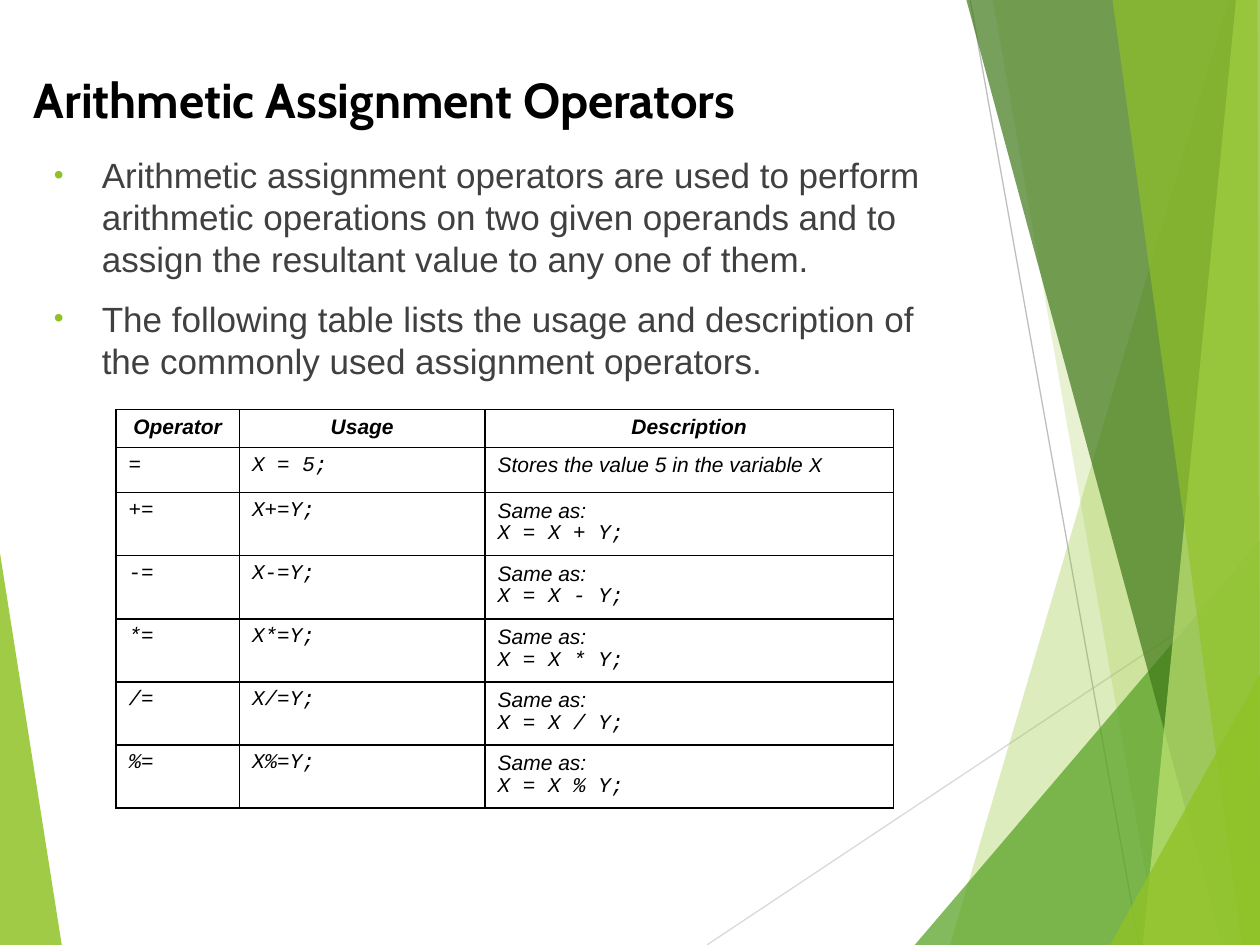
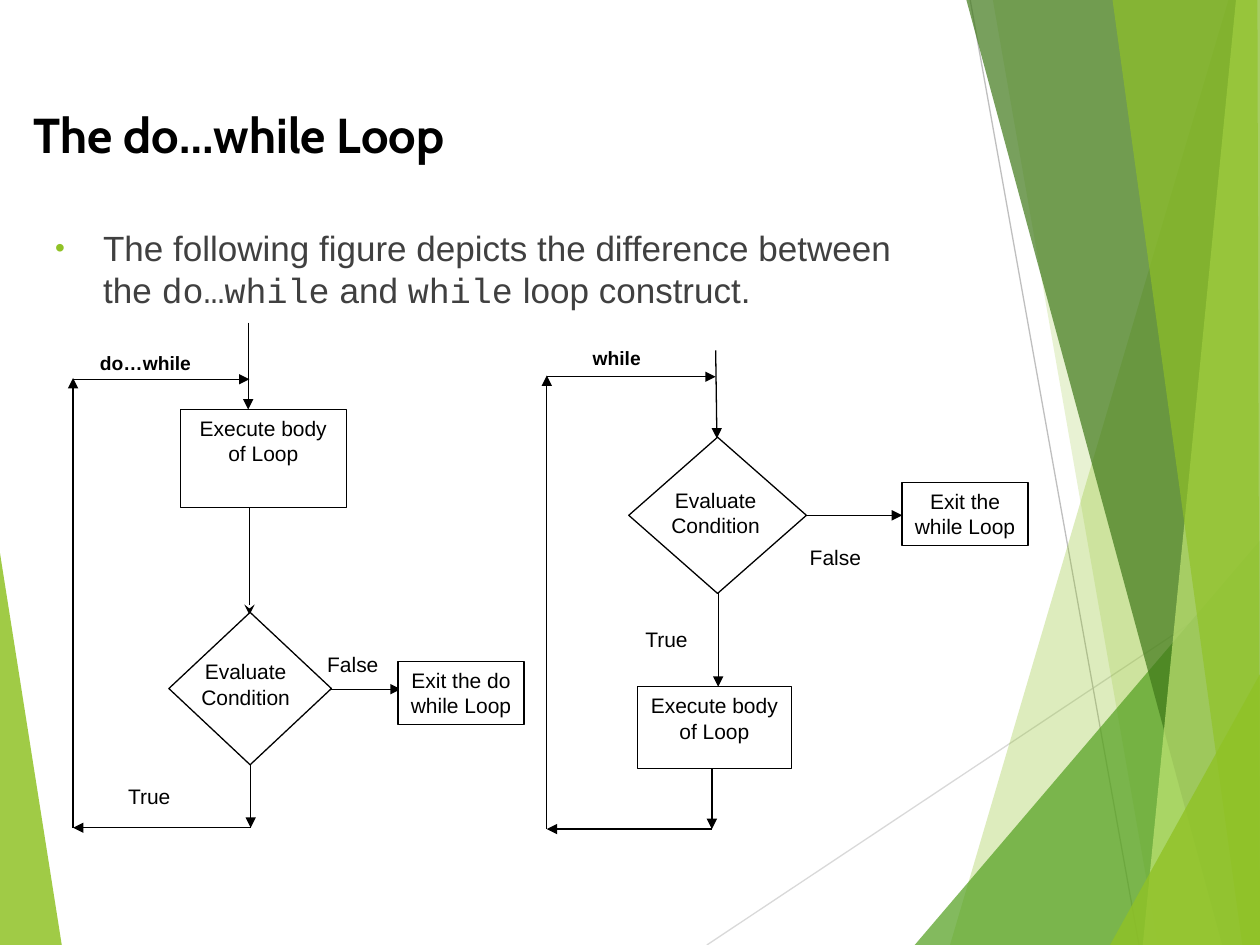
from lxml.etree import SubElement
from pptx import Presentation
from pptx.dml.color import RGBColor
from pptx.enum.shapes import MSO_CONNECTOR, MSO_SHAPE
from pptx.enum.text import MSO_ANCHOR, PP_ALIGN
from pptx.oxml.ns import qn
from pptx.util import Emu, Pt

PX = 9144  # EMU in one px, 100 px to the inch
WIDTH, HEIGHT = 1000, 750

COLORS = {
    "black": "000000", "white": "FFFFFF", "body": "404040",
    "lime": "90C226", "green": "54A021", "forest": "3F7819", "pale": "C0E474",
    "silver": "D9D9D9", "gray": "BFBFBF",
}
SANS, MONO, HEADING = "Arial", "Courier New", "Cabin"

# Theme facets from back to front: colour, opacity in percent, corners
LEFT_FACET = ("lime", 85, [(0, 439), (49, 750), (0, 750)])
RIGHT_FACETS = [
    ("lime", 30, [(975, 0), (754, 750), (1000, 750), (1000, 0)]),
    ("lime", 20, [(788, 0), (919, 750), (1000, 750), (1000, 0)]),
    ("green", 72, [(726, 750), (1000, 429), (1000, 750)]),
    ("forest", 70, [(767, 0), (970, 750), (1000, 750), (1000, 0)]),
    ("pale", 70, [(981, 0), (907, 750), (1000, 750), (1000, 0)]),
    ("lime", 65, [(883, 0), (986, 750), (1000, 750), (998, 0)]),
    ("lime", 80, [(881, 750), (1000, 535), (1000, 750)]),
]


def rgb(name):
    return RGBColor.from_string(COLORS[name])


def px(*values):
    return [Emu(v * PX) for v in values]


class Deck:
    def __init__(self):
        self.prs = Presentation()
        self.prs.slide_width, self.prs.slide_height = px(WIDTH, HEIGHT)
        self.s = None

    def new_slide(self):
        self.s = self.prs.slides.add_slide(self.prs.slide_layouts[6])
        self.facet(*LEFT_FACET)
        self.line(561, 750, 1000, 458, "silver")
        self.line(770, 0, 904, 750, "gray")
        for facet in RIGHT_FACETS:
            self.facet(*facet)

    def facet(self, color, opacity, points):
        builder = self.s.shapes.build_freeform(*points[0], scale=PX)
        builder.add_line_segments(points[1:], close=True)
        sp = builder.convert_to_shape()
        self.paint(sp, color)
        clr = sp._element.spPr.find(f"{qn('a:solidFill')}/{qn('a:srgbClr')}")
        SubElement(clr, qn("a:alpha"), val=str(opacity * 1000))

    def paint(self, sp, fill, line=None):
        sp.shadow.inherit = False
        sp.fill.solid()
        sp.fill.fore_color.rgb = rgb(fill)
        if line:
            sp.line.color.rgb = rgb(line)
            sp.line.width = Pt(0.75)
        else:
            sp.line.fill.background()

    def line(self, x1, y1, x2, y2, color="black", head=None):
        cn = self.s.shapes.add_connector(MSO_CONNECTOR.STRAIGHT, *px(x1, y1, x2, y2))
        cn.line.color.rgb = rgb(color)
        cn.line.width = Pt(0.75)
        if head:
            SubElement(cn.line._get_or_add_ln(), qn("a:tailEnd"), type=head)
        SubElement(cn._element.spPr, qn("a:effectLst"))

    def fill_text(self, tf, lines, align=PP_ALIGN.LEFT, color="black", **font):
        """Set one paragraph per line; text between backticks is set as code."""
        tf.word_wrap = True
        for i, text in enumerate(lines):
            p = tf.add_paragraph() if i else tf.paragraphs[0]
            p.alignment = align
            for j, part in enumerate(text.split("`")):
                if not part:
                    continue
                r = p.add_run()
                r.text = part
                r.font.color.rgb = rgb(color)
                style = {"name": SANS, "bold": False, **font}
                if j % 2:
                    style["name"] = MONO
                for key, value in style.items():
                    setattr(r.font, key, value)

    def text(self, box, lines, **fmt):
        sp = self.s.shapes.add_textbox(*px(*box))
        self.fill_text(sp.text_frame, lines, **fmt)

    def title(self, y, text):
        self.text((17, y, 800, 57), [text], name=HEADING, size=Pt(28), bold=True)

    def shape(self, box, lines=(), kind=MSO_SHAPE.RECTANGLE, line=None, **fmt):
        sp = self.s.shapes.add_shape(kind, *px(*box))
        self.paint(sp, "white", line)
        sp.text_frame.vertical_anchor = MSO_ANCHOR.TOP
        self.fill_text(sp.text_frame, lines, **fmt)
        return sp

    def bullets(self, box, lines):
        sp = self.shape(box, lines, color="body", size=Pt(20))
        for p in sp.text_frame.paragraphs:
            p.space_before = Pt(10)
            pPr = p._p.get_or_add_pPr()
            pPr.set("marL", str(38 * PX))
            pPr.set("indent", str(-38 * PX))
            clr = SubElement(pPr, qn("a:buClr"))
            SubElement(clr, qn("a:srgbClr"), val=COLORS["lime"])
            SubElement(pPr, qn("a:buSzPct"), val="80000")
            SubElement(pPr, qn("a:buFont"), typeface=SANS)
            SubElement(pPr, qn("a:buChar"), char="•")

    def table(self, x, y, widths, heights, rows):
        frame = self.s.shapes.add_table(
            len(rows), len(widths), *px(x, y, sum(widths), sum(heights)))
        tbl = frame.table
        tbl.first_row = tbl.horz_banding = False
        for col, width in zip(tbl.columns, px(*widths)):
            col.width = width
        for row, height in zip(tbl.rows, px(*heights)):
            row.height = height
        for i, row in enumerate(rows):
            for j, text in enumerate(row):
                cell = tbl.cell(i, j)
                self.border(cell)
                cell.fill.background()
                self.fill_text(cell.text_frame, text.split("\n"), size=Pt(12),
                               italic=True, bold=i == 0,
                               align=PP_ALIGN.LEFT if i else PP_ALIGN.CENTER)

    def border(self, cell):
        tcPr = cell._tc.get_or_add_tcPr()
        for side in ("lnL", "lnR", "lnT", "lnB"):
            ln = SubElement(tcPr, qn(f"a:{side}"), w=str(Pt(1)))
            fill = SubElement(ln, qn("a:solidFill"))
            SubElement(fill, qn("a:srgbClr"), val=COLORS["black"])

    def flowchart(self, name, labels, arrows, boxes, diamond, condition):
        """Draw a loop: labels and arrows lie under the boxes and the diamond."""
        center = {"align": PP_ALIGN.CENTER, "size": Pt(12)}
        name_box, name_text = name
        self.shape(name_box, [name_text], **{**center, "size": Pt(11), "bold": True})
        for box, text in labels:
            self.shape(box, [text], **center)
        for *ends, head in arrows:
            self.line(*ends, head=head)
        for box, text in boxes:
            self.shape(box, [text], line="black", **center)
        self.shape(diamond, kind=MSO_SHAPE.DIAMOND, line="black")
        self.text(condition, ["Evaluate", "Condition"], **center)


def operators_slide(deck):
    deck.new_slide()
    deck.bullets((33, 117, 733, 442), [
        "Arithmetic assignment operators are used to perform arithmetic operations "
        "on two given operands and to assign the resultant value to any one of them.",
        "The following table lists the usage and description of the commonly used "
        "assignment operators.",
    ])
    deck.title(50, "Arithmetic Assignment Operators")
    rows = [("Operator", "Usage", "Description"),
            ("`=`", "`X = 5;`", "Stores the value 5 in the variable `X`")]
    rows += [(f"`{op}=`", f"`X{op}=Y;`", f"Same as:\n`X = X {op} Y;`") for op in "+-*/%"]
    deck.table(92, 325, [98, 195, 324], [30, 36] + [50] * 5, rows)


def loops_slide(deck):
    deck.new_slide()
    deck.title(78, "The do…while Loop")
    deck.bullets((34, 175, 700, 450), [
        "The following figure depicts the difference between the `do…while` and "
        "`while` loop construct."])
    deck.flowchart(
        name=((441, 270, 97, 25), "while"),
        labels=[((612, 427, 102, 39), "False"), ((500, 492, 58, 39), "True")],
        arrows=[
            (568, 278, 569, 348, "triangle"),
            (640, 409, 716, 409, "triangle"),
            (570, 451, 570, 545, "triangle"),
            (565, 609, 565, 658, "triangle"),
            (565, 658, 434, 658, "triangle"),
            (434, 658, 434, 298, "triangle"),
            (434, 299, 568, 299, "triangle"),
        ],
        boxes=[((506, 545, 122, 65), "Execute body of Loop"),
               ((716, 383, 100, 50), "Exit the while Loop")],
        diamond=(499, 347, 141, 124),
        condition=(498, 382, 140, 59),
    )
    deck.flowchart(
        name=((58, 274, 115, 39), "do…while"),
        labels=[((239, 512, 82, 39), "False"), ((80, 617, 77, 31), "True")],
        arrows=[
            (197, 256, 197, 325, "triangle"),
            (198, 390, 198, 488, "stealth"),
            (239, 547, 318, 547, "triangle"),
            (199, 606, 199, 657, "triangle"),
            (199, 657, 58, 657, "triangle"),
            (58, 657, 58, 300, "triangle"),
            (58, 301, 198, 301, "triangle"),
        ],
        boxes=[((143, 325, 132, 78), "Execute body of Loop"),
               ((316, 525, 100, 50), "Exit the do while Loop")],
        diamond=(134, 486, 129, 121),
        condition=(127, 518, 136, 63),
    )


def main():
    deck = Deck()
    operators_slide(deck)
    loops_slide(deck)
    deck.prs.save("out.pptx")


if __name__ == "__main__":
    main()
